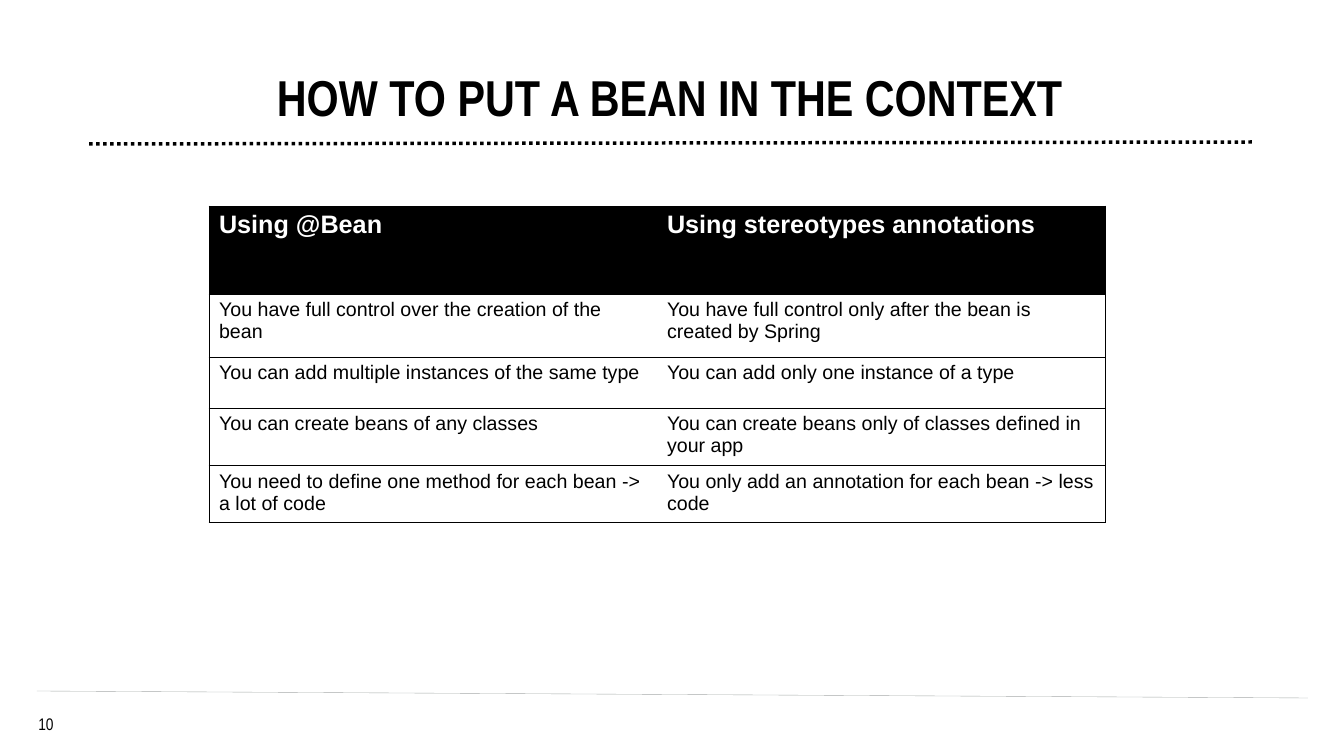
from lxml.etree import SubElement
from pptx import Presentation
from pptx.dml.color import RGBColor
from pptx.enum.dml import MSO_LINE_DASH_STYLE as Dash
from pptx.enum.shapes import MSO_CONNECTOR as Connector
from pptx.enum.text import MSO_ANCHOR as Anchor, PP_ALIGN as Align
from pptx.oxml.ns import qn
from pptx.util import Emu, Pt

TITLE = "HOW TO PUT A BEAN IN THE CONTEXT"
PAGE_NUMBER = "10"
COMPARISON = [
    ("Using @Bean", "Using stereotypes annotations"),
    ("You have full control over the creation of the bean",
     "You have full control only after the bean is created by Spring"),
    ("You can add multiple instances of the same type",
     "You can add only one instance of a type"),
    ("You can create beans of any classes",
     "You can create beans only of classes defined in your app"),
    ("You need to define one method for each bean -> a lot of code",
     "You only add an annotation for each bean -> less code"),
]
ROW_HEIGHTS = [88, 63, 51, 56, 56]
COLUMN_WIDTH = 448
TABLE_LEFT, TABLE_TOP = 209, 206
BLACK, WHITE, GREY = "000000", "FFFFFF", "A6AAA9"


def px(length):
    return Emu(round(length * 914400 / 100.8))


def color(value):
    return RGBColor.from_string(value)


def write(frame, text, size, font="Arial", ink=BLACK, bold=False,
          align=Align.LEFT, spacing=None):
    para = frame.paragraphs[0]
    para.alignment = align
    if spacing:
        para.line_spacing = spacing
    span = para.add_run()
    span.text = text
    span.font.name = font
    span.font.size = Pt(size)
    span.font.bold = bold
    span.font.color.rgb = color(ink)


def add_box(page, place, margins, anchor, text, **style):
    frame = page.shapes.add_textbox(*map(px, place)).text_frame
    frame.word_wrap = True
    frame.vertical_anchor = anchor
    (frame.margin_left, frame.margin_top,
     frame.margin_right, frame.margin_bottom) = map(px, margins)
    write(frame, text, align=Align.CENTER, **style)


def add_rule(page, ends, ink, width, dash=None):
    rule = page.shapes.add_connector(Connector.STRAIGHT, *map(px, ends))
    rule.line.color.rgb = color(ink)
    rule.line.width = Pt(width)
    if dash:
        rule.line.dash_style = dash
    SubElement(rule._element.spPr, qn("a:effectLst"))


def set_borders(cell, visible):
    properties = cell._tc.get_or_add_tcPr()
    for side in "LRTB":
        edge = SubElement(properties, qn(f"a:ln{side}"), w=str(Pt(0.5)))
        if side in visible:
            fill = SubElement(edge, qn("a:solidFill"))
            SubElement(fill, qn("a:srgbClr"), val=BLACK)
        else:
            SubElement(edge, qn("a:noFill"))


def add_comparison(page):
    columns = len(COMPARISON[0])
    table = page.shapes.add_table(
        len(COMPARISON), columns, px(TABLE_LEFT), px(TABLE_TOP),
        px(COLUMN_WIDTH * columns), px(sum(ROW_HEIGHTS))).table
    table.horz_banding = False
    for column in table.columns:
        column.width = px(COLUMN_WIDTH)
    for row, (height, texts) in enumerate(zip(ROW_HEIGHTS, COMPARISON)):
        table.rows[row].height = px(height)
        header = row == 0
        for column, text in enumerate(texts):
            cell = table.cell(row, column)
            set_borders(cell, "LTB" if column == 0 else "RTB")
            if header:
                cell.fill.solid()
                cell.fill.fore_color.rgb = color(BLACK)
            else:
                cell.fill.background()
            write(cell.text_frame, text, size=18 if header else 14,
                  ink=WHITE if header else BLACK, bold=header)


def main():
    deck = Presentation()
    deck.slide_width, deck.slide_height = px(1344), px(756)
    page = deck.slides.add_slide(deck.slide_layouts[6])
    add_box(page, (22, 714, 48, 20), (0, 0, 0, 0), Anchor.TOP,
            PAGE_NUMBER, size=12, font="Arial Narrow")
    add_rule(page, (37, 691, 1308, 698), GREY, 0.25)
    add_rule(page, (1252, 142, 89, 144), BLACK, 2.5, Dash.ROUND_DOT)
    add_box(page, (133, 17, 1084, 113), (0, 5, 10, 5), Anchor.BOTTOM,
            TITLE, size=36, font="Arial Narrow", bold=True, spacing=0.7)
    add_comparison(page)
    deck.save("out.pptx")


if __name__ == "__main__":
    main()
